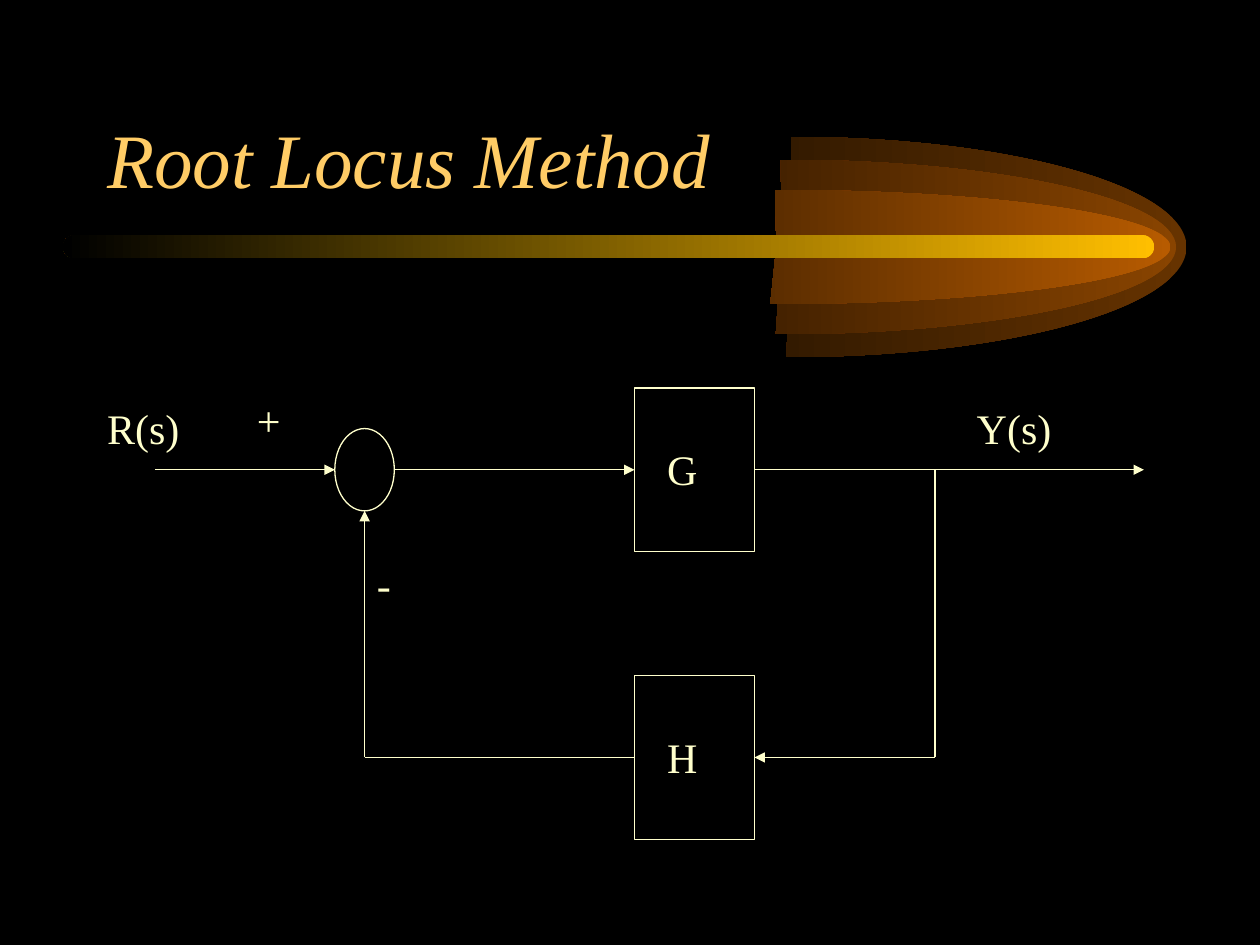
from lxml import etree
from pptx import Presentation
from pptx.dml.color import RGBColor
from pptx.enum.shapes import MSO_CONNECTOR, MSO_SHAPE
from pptx.enum.text import MSO_ANCHOR, PP_ALIGN
from pptx.oxml.ns import qn
from pptx.util import Cm, Pt

BLACK = RGBColor(0x00, 0x00, 0x00)
CREAM = RGBColor(0xFF, 0xFF, 0xCC)
GOLD = RGBColor(0xFF, 0xCC, 0x66)
AMBER = RGBColor(0xFF, 0xBF, 0x00)
DARK_BROWN = RGBColor(0x66, 0x33, 0x00)
BROWN = RGBColor(0x89, 0x44, 0x00)
ORANGE = RGBColor(0xB7, 0x5B, 0x00)
STRAIGHT = MSO_CONNECTOR.STRAIGHT
RECTANGLE = MSO_SHAPE.RECTANGLE
OVAL = MSO_SHAPE.OVAL
ROUNDED = MSO_SHAPE.ROUNDED_RECTANGLE
TOP, BOTTOM = MSO_ANCHOR.TOP, MSO_ANCHOR.BOTTOM
LEFT = PP_ALIGN.LEFT
LEFT_SIDE, RIGHT_SIDE = 1, 3

presentation = Presentation()
presentation.slide_width = Cm(25.4)
presentation.slide_height = Cm(19.05)
slide = presentation.slides.add_slide(presentation.slide_layouts[6])
slide.background.fill.solid()
slide.background.fill.fore_color.rgb = BLACK
shapes = slide.shapes


def paint_gradient(shape, bright_color):
    shape.shadow.inherit = False
    shape.line.fill.background()
    shape.fill.gradient()
    shape.fill.gradient_angle = 180
    for stop, color in zip(shape.fill.gradient_stops, (bright_color, BLACK)):
        stop.color.rgb = color


def write_text(shape, text, frame_format, font_format):
    frame = shape.text_frame
    frame.word_wrap = True
    for name, value in frame_format.items():
        setattr(frame, name, value)
    paragraph = frame.paragraphs[0]
    paragraph.alignment = LEFT
    run = paragraph.add_run()
    run.text = text
    run.font.color.rgb = font_format["color"]
    for name in ("name", "size", "italic"):
        setattr(run.font, name, font_format[name])


comet_y = 4.98
radius_x = 7.97
curvature = 0.55
tail_layers = [(15.95, 2.22, DARK_BROWN), (15.74, 1.76, BROWN), (15.63, 1.15, ORANGE)]
for middle_x, radius_y, color in tail_layers:
    top, bottom = comet_y - radius_y, comet_y + radius_y
    tip, handle_x = middle_x + radius_x, middle_x + radius_x * curvature
    handle_y = radius_y * curvature
    outline = [
        (handle_x, top), (tip, comet_y - handle_y), (tip, comet_y),
        (tip, comet_y + handle_y), (handle_x, bottom), (middle_x - 0.1, bottom),
        (middle_x + 0.02, comet_y),
    ]
    builder = shapes.build_freeform(Cm(middle_x - radius_x), Cm(comet_y))
    builder.move_to(Cm(middle_x), Cm(top))
    builder.add_line_segments([(Cm(x), Cm(y)) for x, y in outline], close=True)
    layer = builder.convert_to_shape()
    lines = list(layer._element.iter(qn("a:lnTo")))
    for quarter in (lines[:3], lines[3:6]):
        curve = etree.Element(qn("a:cubicBezTo"))
        quarter[0].addprevious(curve)
        for line in quarter:
            curve.append(line[0])
            line.getparent().remove(line)
    paint_gradient(layer, color)

bar = shapes.add_shape(ROUNDED, Cm(1.27), Cm(4.74), Cm(22), Cm(0.47))
bar.adjustments[0] = 0.5
paint_gradient(bar, AMBER)

title_font = {"name": "Times New Roman", "size": Pt(44), "italic": True, "color": GOLD}
label_font = {"name": "Times New Roman", "size": Pt(24), "italic": False, "color": CREAM}
title = shapes.add_textbox(Cm(1.91), Cm(1.06), Cm(21.59), Cm(3.17))
write_text(title, "Root Locus Method", {"vertical_anchor": BOTTOM}, title_font)

forward_y, feedback_y = 9.47, 15.27
block_left, block_width, block_height = 12.79, 2.42, 3.3
block_right = block_left + block_width
sum_x, sum_width, sum_height = 7.35, 1.2, 1.66
branch_x = 18.85

nodes = [
    (RECTANGLE, block_left, forward_y, block_width, block_height),
    (RECTANGLE, block_left, feedback_y, block_width, block_height),
    (OVAL, sum_x - sum_width / 2, forward_y, sum_width, sum_height),
]
node_shapes = []
for kind, left, middle, width, height in nodes:
    shape = shapes.add_shape(kind, Cm(left), Cm(middle - height / 2), Cm(width), Cm(height))
    shape.shadow.inherit = False
    shape.fill.background()
    shape.line.color.rgb = CREAM
    shape.line.width = Pt(0.75)
    node_shapes.append(shape)
forward_block, feedback_block, summing_point = node_shapes

block_format = {"vertical_anchor": TOP, "margin_left": Cm(0.66), "margin_top": Cm(1.13)}
for block, text in ((forward_block, "G"), (feedback_block, "H")):
    write_text(block, text, block_format, label_font)

sum_left, sum_right = sum_x - sum_width / 2, sum_x + sum_width / 2
signals = [
    ((sum_right, forward_y), (block_left, forward_y), None, (forward_block, LEFT_SIDE), True),
    ((3.12, forward_y), (sum_left, forward_y), None, None, True),
    ((block_right, forward_y), (23.06, forward_y), (forward_block, RIGHT_SIDE), None, True),
    ((branch_x, feedback_y), (block_right, feedback_y), None, (feedback_block, RIGHT_SIDE), True),
    ((branch_x, feedback_y), (branch_x, forward_y), None, None, False),
    ((sum_x, feedback_y), (sum_x, forward_y + sum_height / 2), None, None, True),
    ((sum_x, feedback_y), (block_left, feedback_y), None, (feedback_block, LEFT_SIDE), False),
]
for start, end, begin_joint, end_joint, has_arrow in signals:
    connector = shapes.add_connector(STRAIGHT, *map(Cm, start + end))
    if begin_joint:
        connector.begin_connect(*begin_joint)
    if end_joint:
        connector.end_connect(*end_joint)
    connector.line.color.rgb = CREAM
    connector.line.width = Pt(0.75)
    if has_arrow:
        line_element = connector.line._get_or_add_ln()
        etree.SubElement(line_element, qn("a:tailEnd"), type="triangle")
    etree.SubElement(connector._element.spPr, qn("a:effectLst"))

labels = [
    ("+", 4.93, 7.82, 1.8, 1.65, 0.13),
    ("-", 7.35, 11.12, 1.8, 1.65, 0.13),
    ("R(s)", 1.91, 6.99, 3.02, 2.49, 1.13),
    ("Y(s)", 19.44, 6.99, 3.02, 2.49, 1.13),
]
for text, left, top, width, height, margin in labels:
    label = shapes.add_textbox(Cm(left), Cm(top), Cm(width), Cm(height))
    write_text(label, text, {"vertical_anchor": TOP, "margin_top": Cm(margin)}, label_font)

presentation.save("out.pptx")
